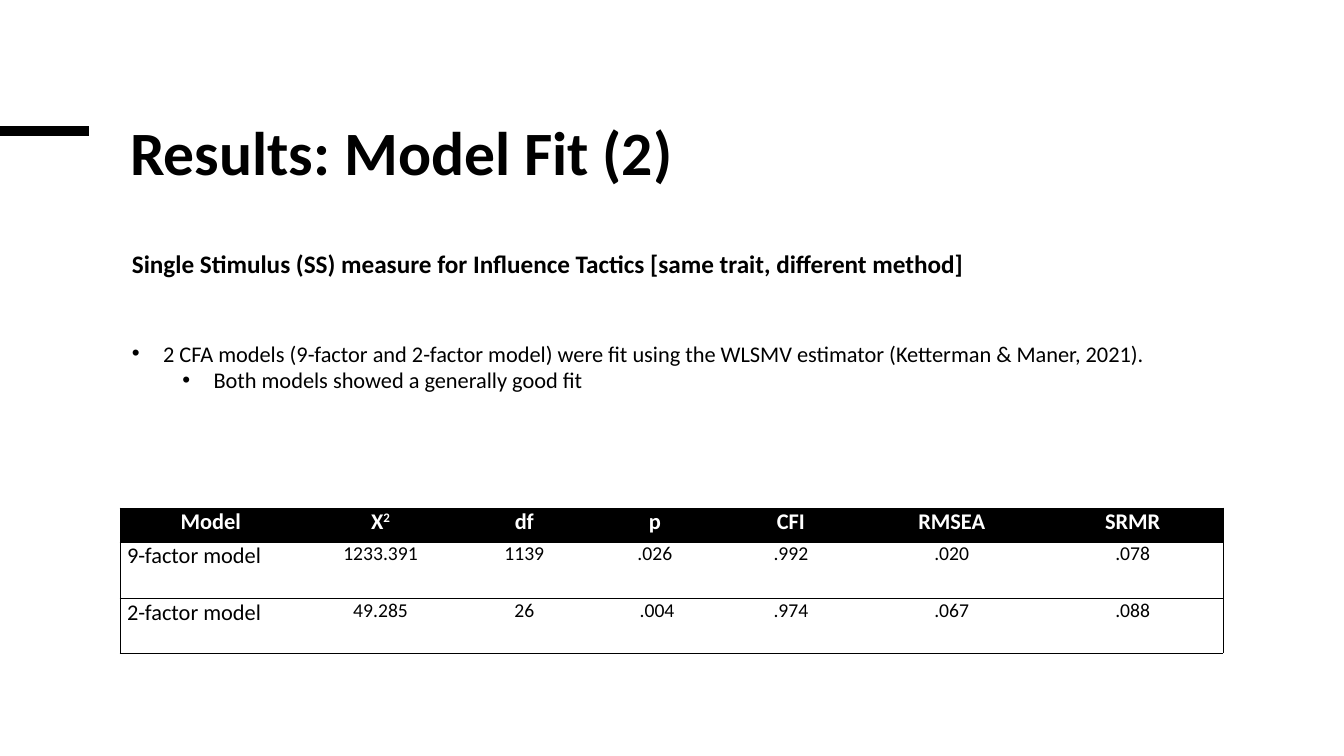
"""Build the slide on model fit results."""
import pptx
import pptx.dml.color
import pptx.enum.shapes
import pptx.enum.text
import pptx.oxml
import pptx.oxml.ns
import pptx.util

Inches = pptx.util.Inches
Pt = pptx.util.Pt
ALIGN = pptx.enum.text.PP_ALIGN
ANCHOR = pptx.enum.text.MSO_ANCHOR
BLACK = pptx.dml.color.RGBColor(0x00, 0x00, 0x00)
WHITE = pptx.dml.color.RGBColor(0xFF, 0xFF, 0xFF)
FONT = "Calibri"
NOTES = [
    {"text": "Single Stimulus (SS) measure for Influence Tactics "
             "[same trait, different method]",
     "size": 18, "bold": True, "left": 0.5},
    {"text": "2 CFA models (9-factor and 2-factor model) were fit using the "
             "WLSMV estimator (Ketterman & Maner, 2021).",
     "size": 16, "left": 0.81, "hang": 0.31, "gap": 44},
    {"text": "Both models showed a generally good fit",
     "size": 16, "left": 1.31, "hang": 0.31},
]
ROWS = [
    ["Model", "X", "df", "p", "CFI", "RMSEA", "SRMR"],
    ["9-factor model", "1233.391", "1139", ".026", ".992", ".020", ".078"],
    ["2-factor model", "49.285", "26", " .004", ".974", ".067", ".088"],
]
WIDTHS = [1.8, 1.57, 1.28, 1.31, 1.39, 1.8, 1.79]
HEIGHTS = [0.34, 0.56, 0.54]


def apply(item, values):
    """Set each named value on the item."""
    for name, value in values.items():
        setattr(item, name, value)


def box(left, top, width, height):
    """Return a place and size for a shape."""
    return {"left": Inches(left), "top": Inches(top),
            "width": Inches(width), "height": Inches(height)}


def add_run(para, text, size, bold=False, color=BLACK):
    """Add styled text to a paragraph."""
    run = para.add_run()
    run.text = text
    apply(run.font, {"name": FONT, "size": Pt(size), "bold": bold})
    run.font.color.rgb = color
    return run


def add_title(slide):
    """Place and fill the title."""
    title = slide.shapes.title
    apply(title, box(1.19, 1.19, 10.85, 1.42))
    apply(title.text_frame, {"vertical_anchor": ANCHOR.TOP, "word_wrap": True})
    para = title.text_frame.paragraphs[0]
    apply(para, {"alignment": ALIGN.LEFT, "line_spacing": 0.85})
    add_run(para, "Results: Model Fit (2)", 44, True)


def add_bar(slide):
    """Draw the thick bar beside the title."""
    bar = slide.shapes.add_connector(
        pptx.enum.shapes.MSO_CONNECTOR.STRAIGHT,
        Inches(0), Inches(1.3), Inches(0.88), Inches(1.3))
    bar.line.color.rgb = BLACK
    bar.line.width = Pt(6.75)
    effect = pptx.oxml.parse_xml(
        f"<a:effectLst {pptx.oxml.ns.nsdecls('a')}/>")
    bar._element.spPr.append(effect)


def indent(para, left, hang):
    """Indent a paragraph, with a bullet where it hangs."""
    props = para._p.get_or_add_pPr()
    props.set("marL", str(Inches(left)))
    props.set("indent", str(-Inches(hang)))
    if hang:
        props.append(pptx.oxml.parse_xml(
            f'<a:buFont {pptx.oxml.ns.nsdecls("a")} typeface="Arial"/>'))
        props.append(pptx.oxml.parse_xml(
            f'<a:buChar {pptx.oxml.ns.nsdecls("a")} char="•"/>'))


def add_notes(slide):
    """Add the heading and its bullets."""
    frame = slide.shapes.add_textbox(
        **box(0.71, 2.41, 11.33, 2.73)).text_frame
    frame.word_wrap = True
    for i, note in enumerate(NOTES):
        para = frame.add_paragraph() if i else frame.paragraphs[0]
        para.space_before = Pt(note.get("gap", 0))
        indent(para, note["left"], note.get("hang", 0))
        add_run(para, note["text"], note["size"], note.get("bold", False))


def set_edge(cell, side, shown):
    """Draw or clear one border of a cell."""
    fill = (f'<a:solidFill><a:srgbClr val="{BLACK}"/></a:solidFill>'
            if shown else "<a:noFill/>")
    cell._tc.get_or_add_tcPr().append(pptx.oxml.parse_xml(
        f'<a:ln{side} {pptx.oxml.ns.nsdecls("a")} w="{Pt(0.5)}">'
        f'{fill}</a:ln{side}>'))


def fill_cell(cell, text, row, col):
    """Style and fill one table cell."""
    head = row == 0
    edges = {"L": col == 0, "R": col == len(WIDTHS) - 1, "T": True, "B": True}
    for side, shown in edges.items():
        set_edge(cell, side, shown)
    if head:
        cell.fill.solid()
        cell.fill.fore_color.rgb = BLACK
    else:
        cell.fill.background()
    apply(cell, {"margin_left": Inches(0.07), "margin_right": Inches(0.07),
                 "margin_top": 0, "margin_bottom": 0,
                 "vertical_anchor": ANCHOR.TOP})
    para = cell.text_frame.paragraphs[0]
    para.alignment = ALIGN.CENTER if head or col else ALIGN.LEFT
    style = {"size": 16 if head or col == 0 else 14,
             "bold": head, "color": WHITE if head else BLACK}
    add_run(para, text, **style)
    if text == "X":
        power = add_run(para, "2", **style)
        power._r.get_or_add_rPr().set("baseline", "30000")


def add_grid(slide):
    """Add the table of fit values."""
    table = slide.shapes.add_table(
        len(ROWS), len(WIDTHS),
        **box(1.19, 5.04, sum(WIDTHS), sum(HEIGHTS))).table
    apply(table, {"first_row": False, "horz_banding": False})
    for column, width in zip(table.columns, WIDTHS):
        column.width = Inches(width)
    for i, (height, texts) in enumerate(zip(HEIGHTS, ROWS)):
        table.rows[i].height = Inches(height)
        for j, text in enumerate(texts):
            fill_cell(table.cell(i, j), text, i, j)


def main():
    """Build and save the deck."""
    deck = pptx.Presentation()
    apply(deck, {"slide_width": Inches(13.33), "slide_height": Inches(7.5)})
    slide = deck.slides.add_slide(deck.slide_layouts[5])
    add_bar(slide)
    add_title(slide)
    add_notes(slide)
    add_grid(slide)
    deck.save("out.pptx")


if __name__ == "__main__":
    main()
